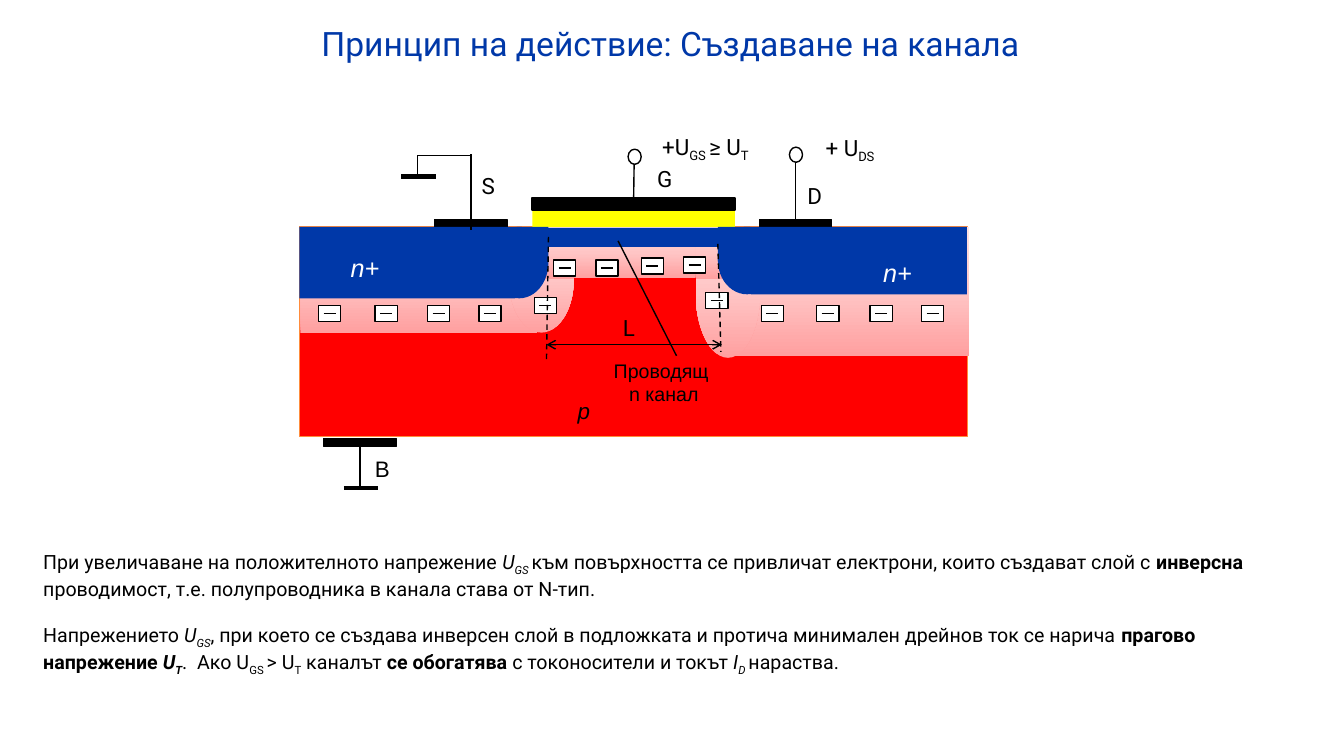
"""Build the slide on how the conducting channel of a MOS transistor forms."""
from copy import deepcopy

from lxml import etree
from pptx import Presentation
from pptx.dml.color import RGBColor
from pptx.enum.dml import MSO_LINE
from pptx.enum.shapes import MSO_CONNECTOR, MSO_SHAPE
from pptx.enum.text import MSO_AUTO_SIZE, PP_ALIGN
from pptx.oxml.ns import qn
from pptx.util import Pt

PX = 9144
RECT, OVAL = MSO_SHAPE.RECTANGLE, MSO_SHAPE.OVAL
STRAIGHT, DASH = MSO_CONNECTOR.STRAIGHT, MSO_LINE.DASH
LEFT, CENTER = PP_ALIGN.LEFT, PP_ALIGN.CENTER
FIT = MSO_AUTO_SIZE.SHAPE_TO_FIT_TEXT
TOP, BOTTOM = 0, 2

BLACK, WHITE, BLUE, RED, YELLOW = "000000", "FFFFFF", "0038A8", "FF0000", "FFFF00"
DEPLETION = [(0, "FFA0A0"), (0.5, "FFC5C5"), (1, "FFE3E3")]
SURFACE = 225

BODY = [
    ("substrate", (297, SURFACE, 663, 208), RED, "FF8C3C", 0.5),
    ("oxide", (528, 209, 201, 17), YELLOW, None, 0),
    ("gate", (528, 196, 201, 12), BLACK, BLACK, 1.5),
    ("drain", (753, 218, 72, 8), BLACK, BLACK, 1),
    ("source", (431, 218, 72, 8), BLACK, BLACK, 1),
    ("bulk", (321, 435, 72, 8), BLACK, BLACK, 1),
]
DEPLETION_PARTS = [(RECT, 298, 235), (OVAL, 505, 64), (RECT, 533, 36)]
WELL_PARTS = [(RECT, 297, 214), (OVAL, 486, 58), (RECT, 511, 33)]
REGIONS = [
    (DEPLETION_PARTS, (105, 105, 52), None, DEPLETION),
    (DEPLETION_PARTS, (128, 130, 52), 1259, DEPLETION),
    (WELL_PARTS, (71, 71, 35), None, BLUE),
    (WELL_PARTS, (67, 67, 34), 1256, BLUE),
]
CHANNEL_DEPLETION = (568, SURFACE, 122, 51)
CHANNEL = (542, 226, 170, 19)
ELECTRONS = [
    (316, 303), (372, 303), (424, 303), (475, 303), (530, 295),
    (549, 258), (591, 258), (636, 256), (678, 255), (700, 290),
    (755, 303), (810, 303), (863, 303), (914, 303),
]
LEADS = [
    ((357, 443, 357, 484), 1, ("bulk", BOTTOM)),
    ((629, 160, 628, 196), 1, ("gate", TOP)),
    ((789, 160, 789, 218), 1, ("drain", TOP)),
    ((467, 228, 467, 153), 1, None),
    ((341, 484, 375, 484), 3, None),
    ((467, 154, 414, 154), 1, None),
    ((414, 154, 414, 175), 1, None),
    ((398, 175, 432, 175), 3, None),
]
TERMINALS = [(623, 148, 13, 15), (783, 146, 13, 15)]
CHANNEL_EDGES = [(544, 235, 542, 359), (712, 242, 715, 349)]
LENGTH_ARROW = (542, 342, 716, 342)
CHANNEL_POINTER = (613, 239, 671, 353)

LABELS = [
    ((563, 389, 37, 37), [[("p", "i")]], 16, "Arial", BLACK, LEFT),
    ((866, 250, 68, 40), [[("n+", "i")]], 18, "Arial", WHITE, LEFT),
    ((338, 245, 68, 40), [[("n+", "i")]], 18, "Arial", WHITE, LEFT),
    ((642, 159, 43, 37), [[("G", "")]], 16, "Roboto", BLACK, LEFT),
    ((468, 166, 43, 37), [[("S", "")]], 16, "Roboto", BLACK, LEFT),
    ((791, 176, 43, 37), [[("D", "")]], 16, "Roboto", BLACK, LEFT),
    ((647, 127, 136, 37), [[("+U", ""), ("GS ", "s"), ("≥ U", ""), ("T", "s")]],
     16, "Roboto", BLACK, LEFT),
    ((809, 128, 107, 37), [[("+ U", ""), ("DS", "s")]], 16, "Roboto", BLACK, LEFT),
    ((585, 351, 147, 57), [[("Проводящ ", "")], [("n канал", "")]],
     14, "Arial", BLACK, CENTER),
    ((608, 307, 50, 37), [[("L", "")]], 16, "Roboto", BLACK, LEFT),
    ((362, 447, 186, 37), [[("B", "")]], 16, "Arial", BLACK, LEFT),
    ((-3, 18, 1336, 50), [[("Принцип на действие: Създаване на канала", "")]],
     24, "Roboto", BLUE, CENTER),
]
EXPLANATION_BOX = (33, 541, 1252, 128)
EXPLANATION = [
    [("При увеличаване на положителното напрежение ", ""), ("U", "i"), ("GS ", "is"),
     ("към повърхността се привличат електрони, които създават слой с ", ""),
     ("инверсна", "b"),
     (" проводимост, т.е. полупроводника в канала става от N-тип.", "")],
    [("Напрежението ", ""), ("U", "i"), ("GS", "is"),
     (", при което се създава инверсен слой в подложката и протича минимален "
      "дрейнов ток се нарича ", ""),
     ("прагово напрежение ", "b"), ("U", "bi"), ("T", "bis"),
     (".  Ако U", ""), ("GS ", "s"), ("> U", ""), ("T", "s"), (" каналът ", ""),
     ("се обогатява ", "b"), ("с токоносители и токът ", ""),
     ("I", "i"), ("D ", "is"), ("нараства.", "")],
]


def color(value):
    return RGBColor.from_string(value)


def emu(lengths):
    return [length * PX for length in lengths]


def add_block(shapes, kind, box, fill, line=None, width=1):
    shape = shapes.add_shape(kind, *emu(box))
    shape.shadow.inherit = False
    if isinstance(fill, str):
        shape.fill.solid()
        shape.fill.fore_color.rgb = color(fill)
    else:
        shape.fill.gradient()
        shape.fill.gradient_angle = 90
        stop_list = shape._element.spPr.find(".//" + qn("a:gsLst"))
        stop_list.insert(1, deepcopy(stop_list[0]))
        for stop, (position, value) in zip(shape.fill.gradient_stops, fill):
            stop.position = position
            stop.color.rgb = color(value)
    if line:
        shape.line.color.rgb = color(line)
        shape.line.width = Pt(width)
    else:
        shape.line.fill.background()
    return shape


def add_line(shapes, ends, width=1, dash=None, arrows=False):
    connector = shapes.add_connector(STRAIGHT, *emu(ends))
    connector.line.color.rgb = color(BLACK)
    connector.line.width = Pt(width)
    if dash:
        connector.line.dash_style = dash
    if arrows:
        for end in ("a:headEnd", "a:tailEnd"):
            etree.SubElement(connector.line._get_or_add_ln(), qn(end), type="arrow")
    etree.SubElement(connector._element.spPr, qn("a:effectLst"))
    return connector


def add_text(shapes, box, paragraphs, size, font, value, align, gap=0):
    text_frame = shapes.add_textbox(*emu(box)).text_frame
    text_frame.word_wrap = True
    text_frame.auto_size = FIT
    for index, pieces in enumerate(paragraphs):
        paragraph = text_frame.add_paragraph() if index else text_frame.paragraphs[0]
        paragraph.alignment = align
        if index and gap:
            paragraph.space_before = Pt(gap)
        for text, style in pieces:
            run = paragraph.add_run()
            run.text = text
            run.font.size = Pt(size)
            run.font.name = font
            run.font.color.rgb = color(value)
            run.font.bold = "b" in style
            run.font.italic = "i" in style
            if "s" in style:
                run._r.get_or_add_rPr().set("baseline", "-25000")


def main():
    presentation = Presentation()
    presentation.slide_width, presentation.slide_height = emu((1333, 750))
    slide = presentation.slides.add_slide(presentation.slide_layouts[6])
    shapes = slide.shapes

    blocks = {name: add_block(shapes, RECT, box, fill, line, width)
              for name, box, fill, line, width in BODY}
    for parts, heights, mirror, fill in REGIONS:
        group = shapes.add_group_shape()
        for (kind, left, width), height in zip(parts, heights):
            if mirror:
                left = mirror - left - width
            add_block(group.shapes, kind, (left, SURFACE, width, height), fill)
        if mirror and fill is DEPLETION:
            add_block(group.shapes, RECT, CHANNEL_DEPLETION, fill)

    for ends, width, joint in LEADS:
        lead = add_line(shapes, ends, width)
        if joint:
            name, side = joint
            connect = lead.begin_connect if side == BOTTOM else lead.end_connect
            connect(blocks[name], side)
    for box in TERMINALS:
        add_block(shapes, OVAL, box, WHITE, BLACK)
    for left, top in ELECTRONS:
        group = shapes.add_group_shape()
        add_block(group.shapes, RECT, (left, top, 22, 16), WHITE, BLACK)
        add_line(group.shapes, (left + 5, top + 8, left + 17, top + 8))

    add_block(shapes, RECT, CHANNEL, BLUE)
    for ends in CHANNEL_EDGES:
        add_line(shapes, ends, dash=DASH)
    add_line(shapes, LENGTH_ARROW, arrows=True)
    add_line(shapes, CHANNEL_POINTER)
    for label in LABELS:
        add_text(shapes, *label)
    add_text(shapes, EXPLANATION_BOX, EXPLANATION, 14, "Roboto", BLACK, LEFT, gap=16)
    presentation.save("out.pptx")


if __name__ == "__main__":
    main()
